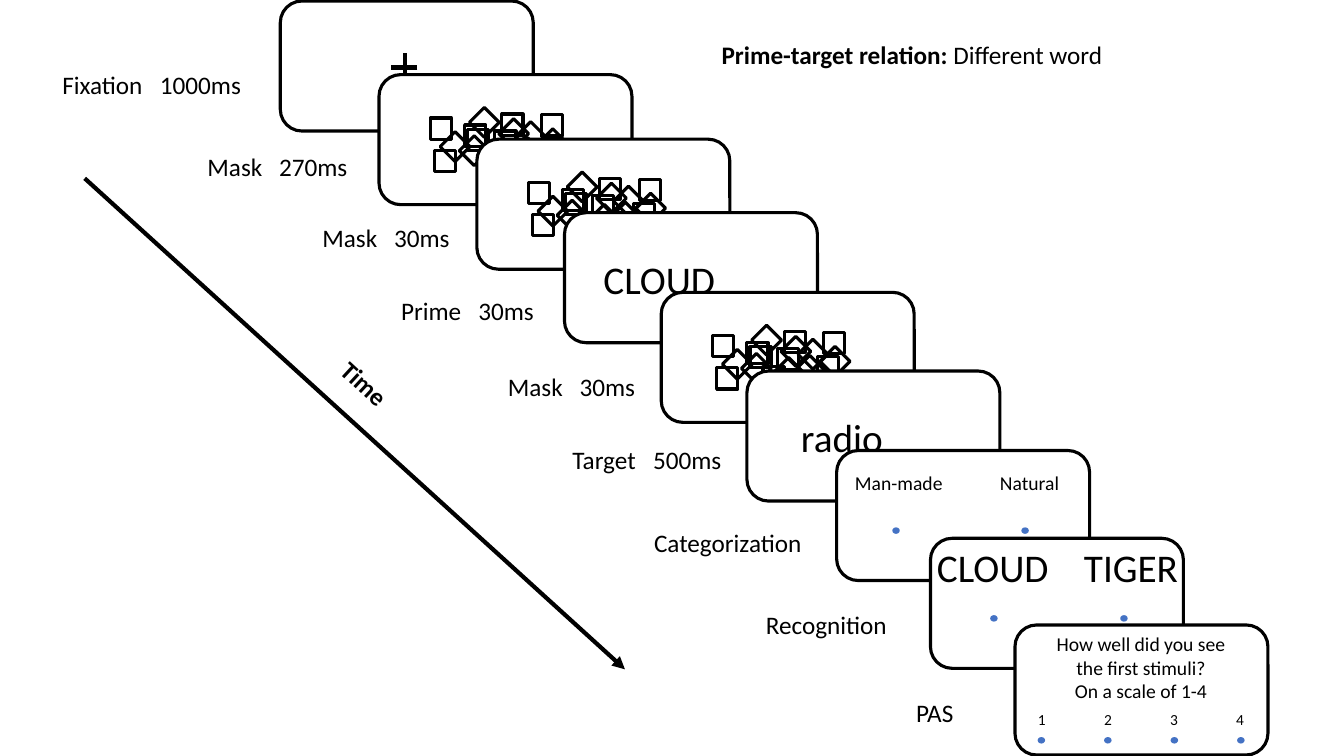
from lxml.etree import SubElement
from pptx import Presentation
from pptx.dml.color import RGBColor
from pptx.enum.shapes import MSO_CONNECTOR, MSO_SHAPE
from pptx.enum.text import PP_ALIGN
from pptx.oxml.ns import qn
from pptx.util import Pt

BLACK = RGBColor(0, 0, 0)
WHITE = RGBColor(255, 255, 255)
BLUE = RGBColor(0x44, 0x72, 0xC4)

deck = Presentation()
deck.slide_width, deck.slide_height = Pt(960), Pt(540)
slide = deck.slides.add_slide(deck.slide_layouts[6])
shapes = slide.shapes


def draw(kind, x, y, w, h, fill=None, line=BLACK, width=2.25):
    item = shapes.add_shape(kind, Pt(x), Pt(y), Pt(w), Pt(h))
    item.shadow.inherit = False
    if fill is None:
        item.fill.background()
    else:
        item.fill.solid()
        item.fill.fore_color.rgb = fill
    item.line.color.rgb = line
    item.line.width = Pt(width)
    return item


def write(text, x, y, w, h, size=18, align=PP_ALIGN.LEFT, tabs=(), left=7.2, right=7.2):
    box = shapes.add_textbox(Pt(x), Pt(y), Pt(w), Pt(h))
    frame = box.text_frame
    frame.word_wrap = True
    frame.margin_left, frame.margin_right = Pt(left), Pt(right)
    frame.text = text
    for para in frame.paragraphs:
        para.alignment = align
        if tabs:
            stops = SubElement(para._p.get_or_add_pPr(), qn("a:tabLst"))
            for stop in tabs:
                SubElement(stops, qn("a:tab"), pos=str(Pt(stop)), algn="l")
        para.font.size = Pt(size)
        para.font.name = "Calibri"
        para.font.color.rgb = BLACK
    return box


# Fixation screen
WIDE, HIGH = 180.7, 92.9
draw(MSO_SHAPE.ROUNDED_RECTANGLE, 200.2, 0.7, WIDE, HIGH, WHITE)

# Fixation cross and time arrow
lines = [
    (289.4, 38.2, 289.4, 57.6),
    (298.1, 48.2, 279.4, 48.2),
    (60.5, 127.4, 446.4, 478.1),
]
for ends in lines:
    line = shapes.add_connector(MSO_CONNECTOR.STRAIGHT, *[Pt(v) for v in ends])
    line.line.color.rgb = BLACK
    line.line.width = Pt(3)
    SubElement(line._element.spPr, qn("a:effectLst"))
SubElement(line.line._get_or_add_ln(), qn("a:tailEnd"), type="triangle")

# Mask pattern: offsets inside a screen, with rotation
squares = [(36.7, 31), (63.4, 38.9), (87.8, 28.1), (82.8, 40.3), (111.6, 46.1),
           (115.9, 28.8), (39.6, 54), (61.2, 36)]
diamonds = [(67.7, 26.6), (100.8, 36.7), (46.8, 43.9), (83.5, 49.7),
            (116.6, 41.8), (60.5, 46.8), (88.6, 34.6), (98.6, 48.2)]
short = [(x, y, 0) for x, y in squares] + [(x, y, 45) for x, y in diamonds]
full = short + [(72.7, 53.3, 0)]

# Later screens: left, top, mask pattern, dots
pas = [(16.7 + 47.5 * i, 80.6) for i in range(4)]
screens = [
    (270.7, 53.3, short, []),
    (340.6, 99.4, full, []),
    (403.2, 151.9, [], []),
    (472.3, 208.8, full, []),
    (533.5, 265, [], []),
    (597.6, 321.8, [], [(40.3, 55.4), (132.5, 55.4)]),
    (664.6, 384.5, [], [(43.2, 55.4), (136.1, 55.4)]),
    (725, 446.4, [], pas),
]
# Screen words: text, left, top, width, height, size, align, tabs, insets
MID, LEFT = PP_ALIGN.CENTER, PP_ALIGN.LEFT
words = {
    2: [("CLOUD", 415.4, 178.6, 155.5, 41, 28, MID, (), 7.2, 51.5)],
    4: [("radio", 545.8, 291.6, 155.5, 41, 28, MID, (), 7.2, 51.5)],
    5: [("Man-made\tNatural", 597.6, 332.6, 180, 24.5, 14, LEFT, (103.6,), 13.1)],
    6: [("CLOUD\tTIGER", 656.6, 384.5, 197.3, 41, 28, LEFT, (105,), 12.7, 0)],
    7: [("How well did you see the first stimuli?\nOn a scale of 1-4",
         737.3, 447.8, 155.5, 58.3, 14, MID),
        ("1\t2\t3\t4", 725, 504, WIDE, 20.9, 11, LEFT,
         [47.2 * i for i in (1, 2, 3)], 16.4)],
}
for num, (left, top, mask, dots) in enumerate(screens):
    draw(MSO_SHAPE.ROUNDED_RECTANGLE, left, top, WIDE, HIGH, WHITE)
    for x, y, turn in mask:
        draw(MSO_SHAPE.RECTANGLE, left + x, top + y, 15.1, 15.1).rotation = turn
    for word in words.get(num, []):
        write(*word)
    for x, y in dots:
        draw(MSO_SHAPE.OVAL, left + x, top + y, 4.3, 3.6, BLUE, BLUE, 1)

# Time label
time = write("Time", 221.8, 283, 123.8, 38.2)
time.rotation = 42.8
time.text_frame.paragraphs[0].font.bold = True

# Stage labels: text, left, top, width, tab
labels = [
    ("Fixation\t1000ms", 37.4, 46.1, 159.1, 69.8),
    ("Mask\t270ms", 141.1, 104.4, 132.5, 51.2),
    ("Mask\t30ms", 223.2, 155.5, 117.4, 51.2),
    ("Prime\t30ms", 279.4, 207.4, 123.1, 55.2),
    ("Mask\t30ms", 355.7, 261.4, 119.5, 51.2),
    ("Target\t500ms", 401.8, 313.9, 128.9, 57.6),
    ("Categorization", 460.1, 373, 123.8, None),
    ("Recognition", 540, 432, 123.8, None),
    ("PAS", 647.3, 494.6, 54.7, None),
]
for text, left, top, width, tab in labels:
    write(text, left, top, width, 28.8, tabs=[tab] if tab else ())

# Heading
head = write("Prime-target relation: ", 508.3, 24.5, 356.4, 28.8)
para = head.text_frame.paragraphs[0]
para.runs[0].font.bold = True
para.add_run().text = "Different word"

deck.save("out.pptx")
